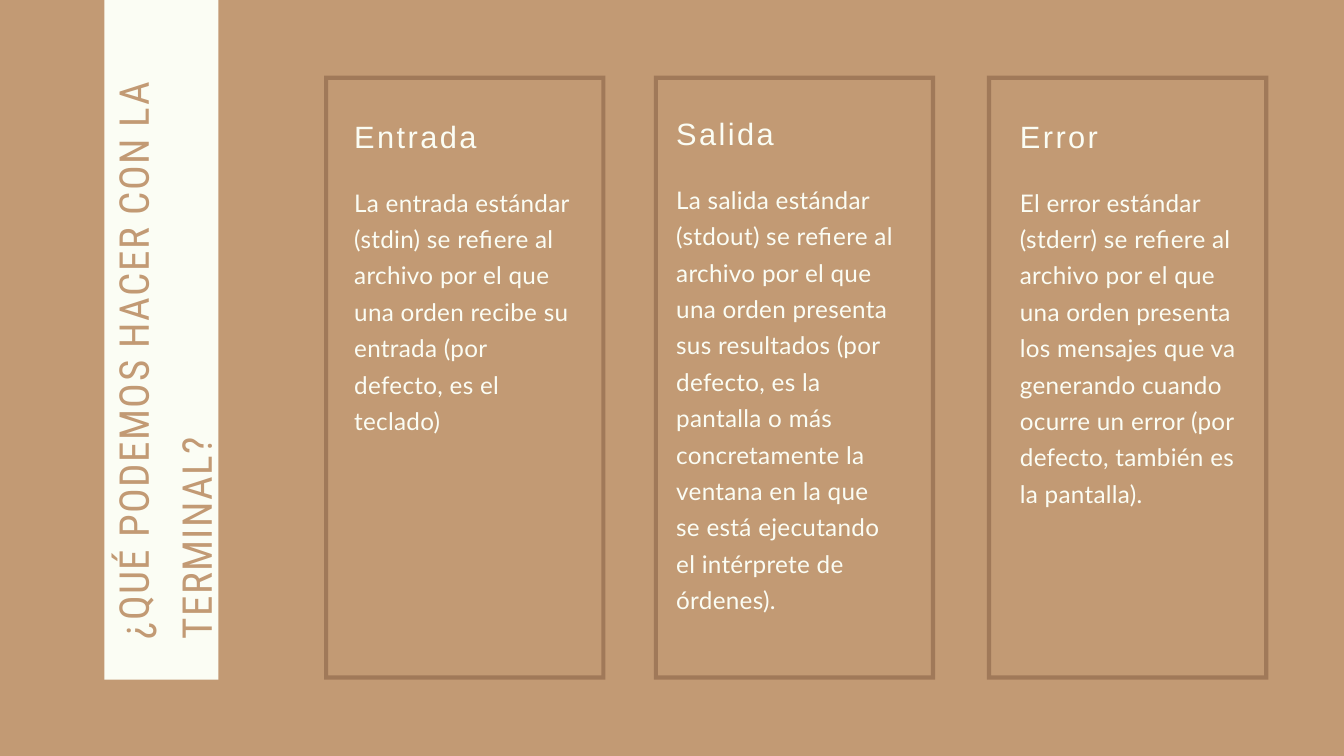
from pptx import Presentation
from pptx import util as u
from pptx.dml.color import RGBColor
from pptx.enum import shapes, text
from pptx.oxml.ns import qn
from lxml import etree

PX = 9525  # EMU per px, 96 px to the inch
HEX = {"tan": "C29A74", "cream": "FBFDF4", "brown": "532E1D"}


class Deck:
    def __init__(self):
        self.prs = Presentation()
        self.prs.slide_width, self.prs.slide_height = 1920 * PX, 1080 * PX
        self.slide = self.prs.slides.add_slide(self.prs.slide_layouts[5])
        self.paint(self.slide.background.fill, "tan")

    def paint(self, fill, name):
        fill.solid()
        fill.fore_color.rgb = RGBColor.from_string(HEX[name])

    def place(self, shape, x, y, w, h, turn=0):
        shape.left, shape.top, shape.width, shape.height = [v * PX for v in (x, y, w, h)]
        shape.rotation = turn

    def letter(self, shape, words, font, size, lead, gap, color):
        frame = shape.text_frame
        frame.margin_left = frame.margin_top = frame.margin_right = frame.margin_bottom = 0
        frame.word_wrap = True
        frame.auto_size = text.MSO_AUTO_SIZE.NONE
        frame.vertical_anchor = text.MSO_ANCHOR.TOP
        frame.text = words
        para = frame.paragraphs[0]
        para.alignment = text.PP_ALIGN.LEFT
        para.line_spacing = u.Pt(lead)
        para.font.name, para.font.size = font, u.Pt(size)
        para.font.color.rgb = RGBColor.from_string(HEX[color])
        para.font._element.set("spc", str(round(gap * 100)))  # letter spacing

    def label(self, box, words, *style):
        shape = self.slide.shapes.add_textbox(0, 0, 0, 0)
        self.place(shape, *box)
        self.letter(shape, words, *style)

    def band(self, *box):
        shape = self.slide.shapes.add_shape(shapes.MSO_SHAPE.RECTANGLE, 0, 0, 0, 0)
        self.place(shape, *box)
        shape.shadow.inherit = False
        self.paint(shape.fill, "cream")
        shape.line.fill.background()

    def title(self, box, words, *style):
        shape = self.slide.shapes.title
        self.slide.shapes._spTree.append(shape._element)  # bring to front
        self.place(shape, *box)
        self.letter(shape, words, *style)

    def border(self, x, y, w, h, edge):
        r, b = x + w, y + h
        outline = self.slide.shapes.build_freeform(x, y, scale=PX)
        outline.add_line_segments([(x, b), (r, b), (r, y)])
        # The inner outline runs the other way, which leaves a hole
        outline.move_to(r - edge, b - edge)
        outline.add_line_segments(
            [(x + edge, b - edge), (x + edge, y + edge), (r - edge, y + edge)])
        shape = outline.convert_to_shape()
        shape.shadow.inherit = False
        shape.line.fill.background()
        self.paint(shape.fill, "brown")
        tint = shape._element.spPr.find(qn("a:solidFill"))[0]
        etree.SubElement(tint, qn("a:alpha")).set("val", "30000")


HEAD = ("Arial", 33, 42.9, 2.6, "cream")
BODY = ("Lato", 26, 39, 0.3, "cream")
NAME = ("Roboto Condensed", 44, 67.5, 1.5, "tan")

# Frame left, text left, text top, text height, heading, description
CARDS = [
    (463, 506, 164, 360, "Entrada",
     "La entrada estándar (stdin) se refiere al archivo por el que una orden "
     "recibe su entrada (por defecto, es el teclado)"),
    (934, 966, 160, 620, "Salida",
     "La salida estándar (stdout) se refiere al archivo por el que una orden "
     "presenta sus resultados (por defecto, es la pantalla o más concretamente "
     "la ventana en la que se está ejecutando el intérprete de órdenes)."),
    (1410, 1457, 164, 465, "Error",
     "El error estándar (stderr) se refiere al archivo por el que una orden "
     "presenta los mensajes que va generando cuando ocurre un error (por "
     "defecto, también es la pantalla)."),
]


def main():
    deck = Deck()

    # Three framed columns
    for left, x, y, high, head, body in CARDS:
        deck.border(left, 108, 402, 863, 6)
        deck.label((x, y, 316, 55), head, *HEAD)
        deck.label((x, y + 94, 316, high), body, *BODY)

    # Upright title on its band
    deck.band(-287, 372, 1035, 163, 270)
    deck.title((-186, 417, 817, 176, 270), "¿QUÉ PODEMOS HACER CON LA TERMINAL?", *NAME)

    deck.prs.save("out.pptx")


if __name__ == "__main__":
    main()
